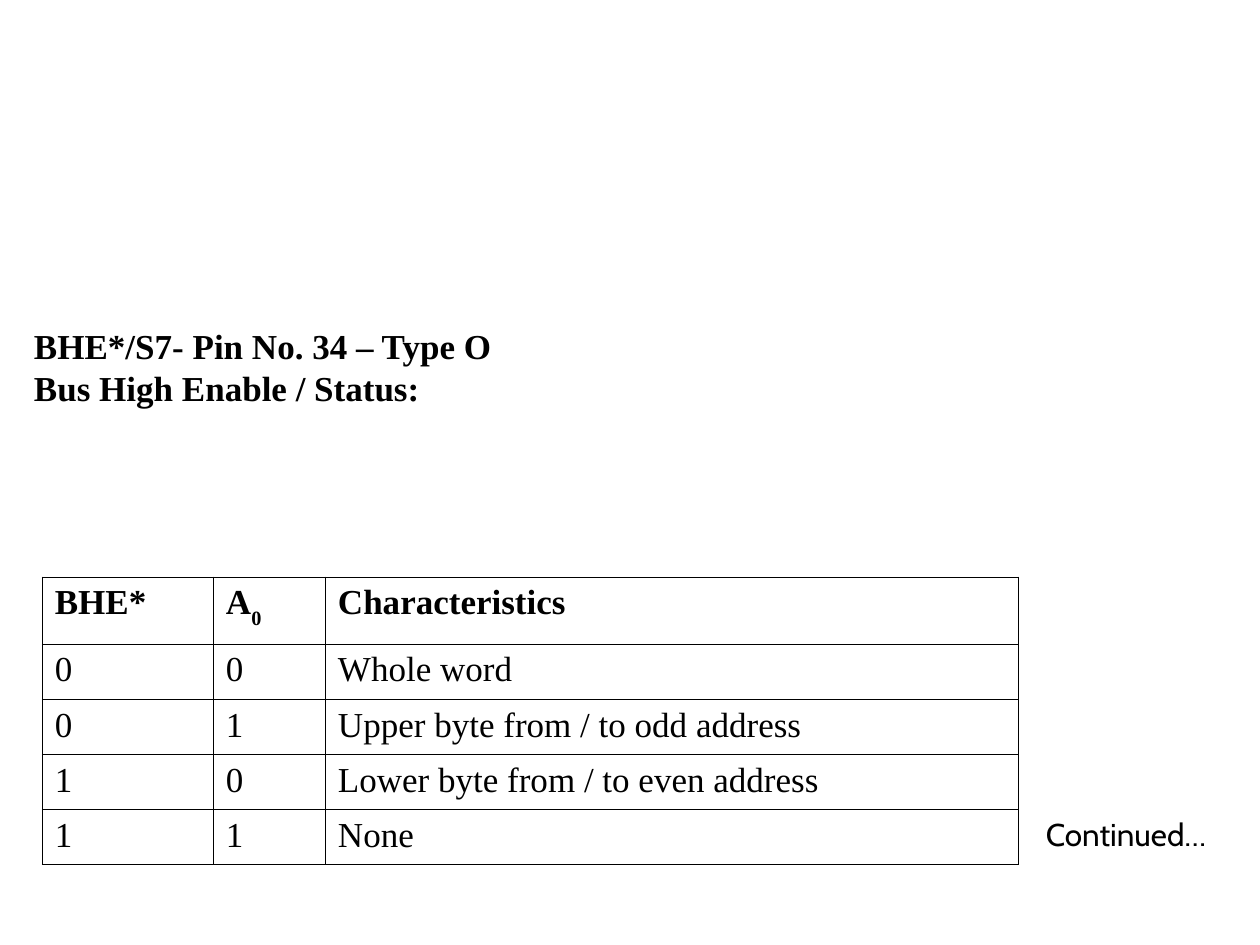
from lxml import etree
from pptx import Presentation
from pptx import util as u
from pptx.dml.color import RGBColor
from pptx.enum import text
from pptx.oxml.ns import qn

HEADING = ["BHE*/S7- Pin No. 34 – Type O", "Bus High Enable / Status:"]
ROWS = [
    ("BHE*", "A0", "Characteristics"),
    ("0", "0", "Whole word"),
    ("0", "1", "Upper byte from / to odd address"),
    ("1", "0", "Lower byte from / to even address"),
    ("1", "1", "None"),
]
CONTINUED = "Continued…"
COLUMN_WIDTHS = [3.45, 2.26, 13.97]
ROW_HEIGHTS = [1.36] + [1.11] * 4
COLORS = {"ink": "000000", "paper": "FFFFFF"}
SERIF, SANS = "Times New Roman", "Cabin"


def format_paragraph(paragraph, size, face, bold=False):
    font = paragraph.font
    font.size, font.name, font.bold = u.Pt(size), face, bold
    font.color.rgb = RGBColor.from_string(COLORS["ink"])


def add_borders(cell):
    properties = cell._tc.get_or_add_tcPr()
    for side in ("lnL", "lnR", "lnT", "lnB"):
        line = etree.SubElement(properties, qn(f"a:{side}"), w=str(u.Pt(0.45)))
        fill = etree.SubElement(line, qn("a:solidFill"))
        etree.SubElement(fill, qn("a:srgbClr"), val=COLORS["ink"])


def fill_cell(cell, words, is_header):
    paragraph = cell.text_frame.paragraphs[0]
    if words == "A0":
        paragraph.add_run().text = "A"
        subscript = paragraph.add_run()
        subscript.text = "0"
        subscript.font._element.set("baseline", "-30000")
    else:
        paragraph.text = words
    format_paragraph(paragraph, 20, SERIF, is_header)
    add_borders(cell)
    cell.fill.background()


prs = Presentation()
prs.slide_width, prs.slide_height = u.Cm(25.4), u.Cm(19.05)
slide = prs.slides.add_slide(prs.slide_layouts[5])
slide.background.fill.solid()
slide.background.fill.fore_color.rgb = RGBColor.from_string(COLORS["paper"])

heading = slide.shapes.title
heading.left, heading.top = u.Cm(0.43), u.Cm(6.4)
heading.width, heading.height = u.Cm(24.33), u.Cm(1.96)
heading.text_frame.text = "\n".join(HEADING)
heading.text_frame.vertical_anchor = text.MSO_ANCHOR.MIDDLE
heading.text_frame.auto_size = text.MSO_AUTO_SIZE.SHAPE_TO_FIT_TEXT
for paragraph in heading.text_frame.paragraphs:
    paragraph.alignment = text.PP_ALIGN.JUSTIFY
    format_paragraph(paragraph, 20, SERIF, True)

characteristics = slide.shapes.add_table(
    len(ROWS), len(COLUMN_WIDTHS), u.Cm(0.85), u.Cm(11.63),
    u.Cm(sum(COLUMN_WIDTHS)), u.Cm(sum(ROW_HEIGHTS))).table
characteristics.first_row = characteristics.horz_banding = False
for column, width in zip(characteristics.columns, COLUMN_WIDTHS):
    column.width = u.Cm(width)
for row, height, entries in zip(characteristics.rows, ROW_HEIGHTS, ROWS):
    row.height = u.Cm(height)
    for cell, words in zip(row.cells, entries):
        fill_cell(cell, words, entries is ROWS[0])

continued = slide.shapes.add_textbox(u.Cm(19.48), u.Cm(16.31), u.Cm(5.08), u.Cm(1.02))
continued.text_frame.word_wrap = True
continued.text_frame.auto_size = text.MSO_AUTO_SIZE.SHAPE_TO_FIT_TEXT
continued.text_frame.text = CONTINUED
continued.text_frame.paragraphs[0].alignment = text.PP_ALIGN.RIGHT
format_paragraph(continued.text_frame.paragraphs[0], 18, SANS)

prs.save("out.pptx")
